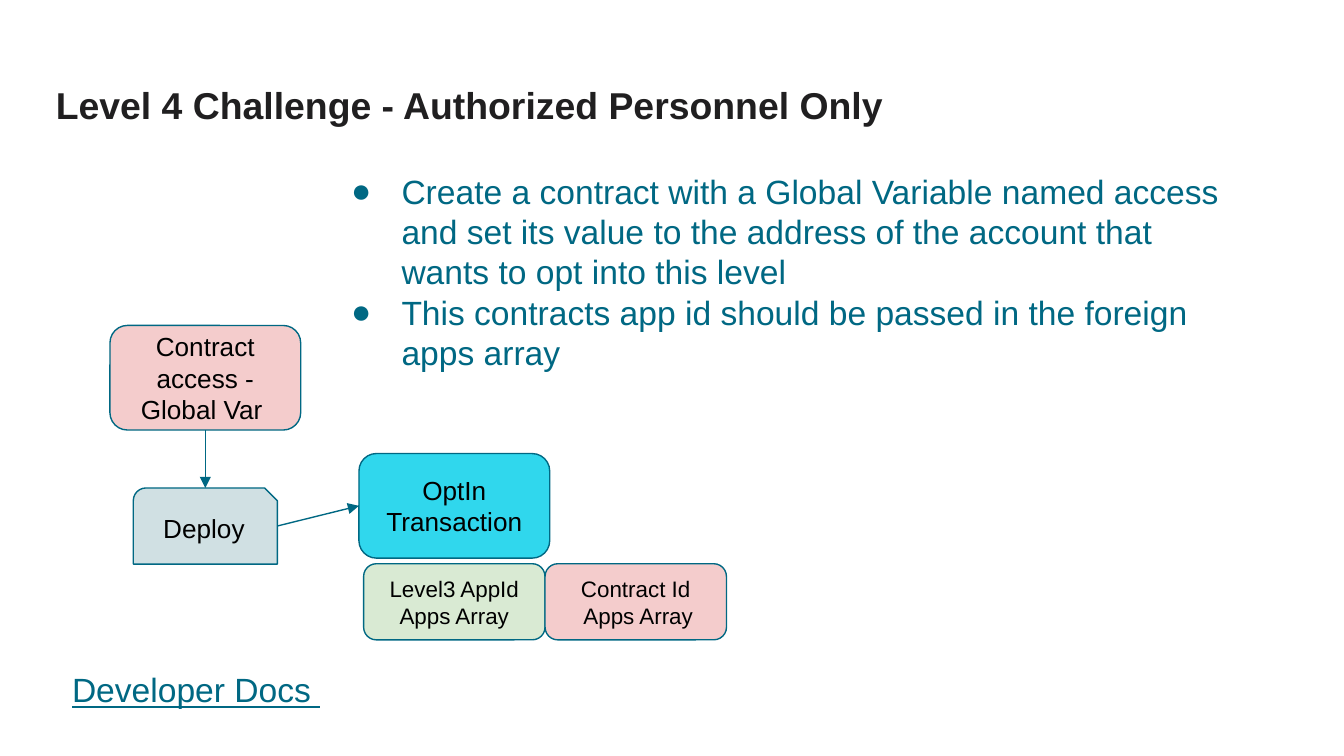
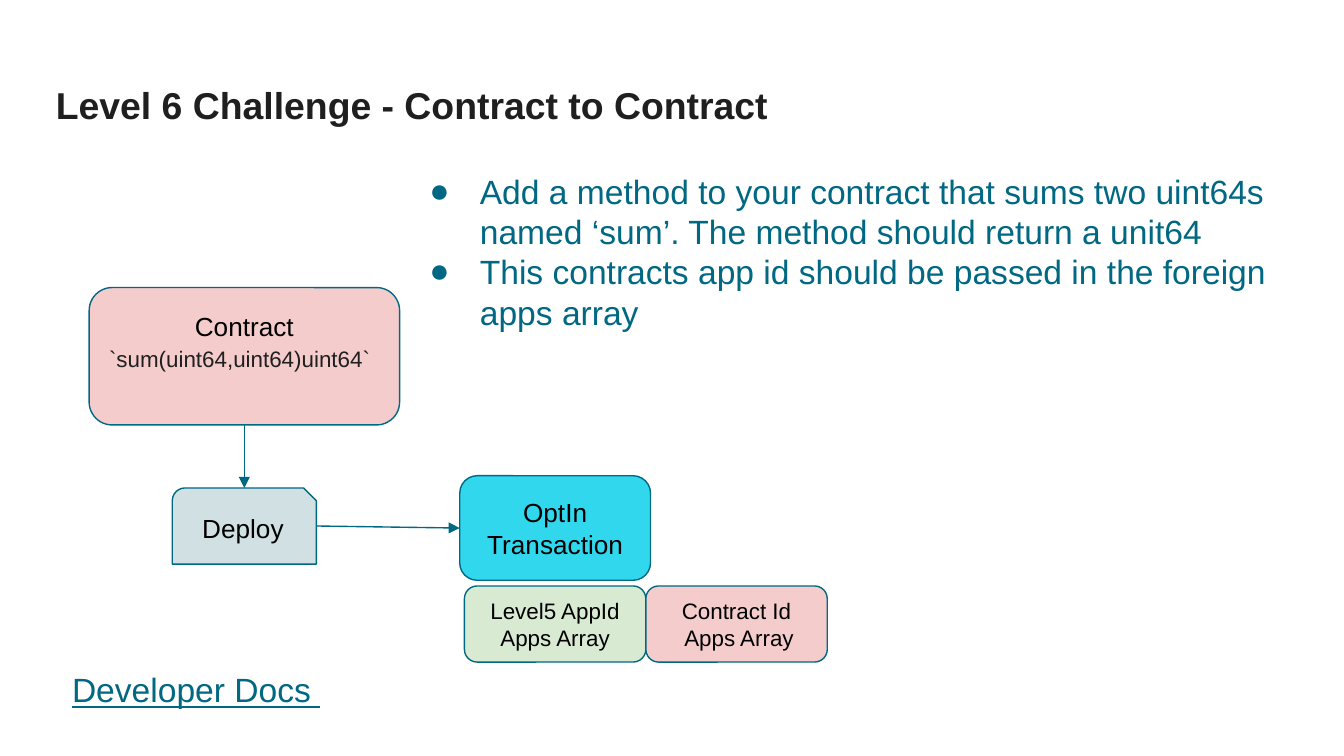
"""Build the two contract challenge slides with their flow diagrams."""
from lxml import etree
from pptx import Presentation
from pptx.dml.color import RGBColor
from pptx.enum import shapes, text
from pptx.oxml import ns
from pptx.util import Pt

COLORS = {
    "ink": "201F20",
    "teal": "006883",
    "black": "000000",
    "contract": "F4CCCC",
    "optin": "30D7ED",
    "level": "D9EAD3",
    "deploy": "D0E0E3",
}
FONT = "Arial"
ROUND = shapes.MSO_SHAPE.ROUNDED_RECTANGLE
SNIP = shapes.MSO_SHAPE.SNIP_ROUND_RECTANGLE
CENTER = text.PP_ALIGN.CENTER
LEFT = text.PP_ALIGN.LEFT
MIDDLE = text.MSO_ANCHOR.MIDDLE
TOP = text.MSO_ANCHOR.TOP

CHALLENGES = [
    {
        "title": "Level 4 Challenge - Authorized Personnel Only",
        "tasks": [
            "Create a contract with a Global Variable named access and set its value "
            "to the address of the account that wants to opt into this level",
            "This contracts app id should be passed in the foreign apps array",
        ],
        "tasks_left": 172,
        "axis": 110,
        "contract": ["Contract", "access - Global Var "],
        "contract_box": (174.4, 102.2, 56),
        "optin": (192.3, 243),
        "level": "Level3 AppId Apps Array",
    },
    {
        "title": "Level 6 Challenge - Contract to Contract",
        "tasks": [
            "Add a method to your contract that sums two uint64s named ‘sum’. "
            "The method should return a unit64",
            "This contracts app id should be passed in the foreign apps array",
        ],
        "tasks_left": 214,
        "axis": 130.9,
        "contract": ["Contract", "`sum(uint64,uint64)uint64`"],
        "contract_box": (154.1, 166.3, 73.6),
        "optin": (246.3, 254.9),
        "level": "Level5 AppId Apps Array",
    },
]


def write(shape, lines, size, color, align=LEFT, anchor=TOP, inset=7.2):
    """Fill a shape with evenly styled paragraphs and return its frame."""
    frame = shape.text_frame
    frame.text = "\n".join(lines)
    frame.word_wrap = True
    frame.auto_size = text.MSO_AUTO_SIZE.NONE
    frame.vertical_anchor = anchor
    frame.margin_left = frame.margin_right = Pt(7.2)
    frame.margin_top = frame.margin_bottom = Pt(inset)
    for paragraph in frame.paragraphs:
        paragraph.alignment = align
        for run in paragraph.runs:
            run.font.name = FONT
            run.font.size = Pt(size)
            run.font.color.rgb = RGBColor.from_string(COLORS[color])
    return frame


def add_step(slide, preset, box, fill, lines, size):
    """Draw one outlined step of the flow and return its text frame."""
    step = slide.shapes.add_shape(preset, *map(Pt, box))
    for index in range(len(step.adjustments)):
        step.adjustments[index] = 0.167
    step.shadow.inherit = False
    step.fill.solid()
    step.fill.fore_color.rgb = RGBColor.from_string(COLORS[fill])
    step.line.color.rgb = RGBColor.from_string(COLORS["teal"])
    step.line.width = Pt(0.75)
    return write(step, lines, size, "black", CENTER, MIDDLE)


deck = Presentation()
deck.slide_width, deck.slide_height = Pt(720), Pt(405)

for challenge in CHALLENGES:
    slide = deck.slides.add_slide(deck.slide_layouts[6])

    title = slide.shapes.add_textbox(Pt(24.5), Pt(35), Pt(671), Pt(45.4))
    heading = write(title, [challenge["title"]], 20, "ink", anchor=MIDDLE, inset=2.7)
    heading.margin_left = heading.margin_right = Pt(5.4)
    heading.paragraphs[0].line_spacing = 0.9
    heading.paragraphs[0].runs[0].font.bold = True

    docs = slide.shapes.add_textbox(Pt(31.5), Pt(351.4), Pt(656.6), Pt(45.4))
    docs_text = write(docs, ["Developer Docs "], 18, "teal")
    docs_text.paragraphs[0].runs[0].font.underline = True

    tasks = slide.shapes.add_textbox(
        Pt(challenge["tasks_left"]), Pt(84.2), Pt(491), Pt(213.8))
    for task in write(tasks, challenge["tasks"], 18, "teal").paragraphs:
        properties = task._p.get_or_add_pPr()
        properties.set("marL", str(Pt(36)))
        properties.set("indent", str(Pt(-27)))
        bullet_color = etree.SubElement(properties, ns.qn("a:buClr"))
        etree.SubElement(bullet_color, ns.qn("a:srgbClr"), val=COLORS["teal"])
        etree.SubElement(properties, ns.qn("a:buFont"), typeface=FONT)
        etree.SubElement(properties, ns.qn("a:buChar"), char="●")

    axis = challenge["axis"]
    contract_top, contract_width, contract_height = challenge["contract_box"]
    contract = add_step(
        slide, ROUND,
        (axis - contract_width / 2, contract_top, contract_width, contract_height),
        "contract", challenge["contract"], 14)
    signature = contract.paragraphs[1]
    if signature.text.startswith("`"):
        contract.margin_bottom = Pt(23.2)
        signature.alignment = LEFT
        signature.line_spacing = 1.15
        signature.runs[0].font.size = Pt(12)
        signature.runs[0].font.color.rgb = RGBColor.from_string(COLORS["ink"])

    optin_left, optin_top = challenge["optin"]
    add_step(slide, ROUND, (optin_left, optin_top, 102.2, 56),
             "optin", ["OptIn Transaction"], 14)
    apps = [
        ("level", [challenge["level"]]),
        ("contract", ["Contract Id", " Apps Array"]),
    ]
    for column, (fill, lines) in enumerate(apps):
        add_step(slide, ROUND,
                 (optin_left + 2.5 + 97.2 * column, optin_top + 59, 97.2, 40.8),
                 fill, lines, 12)

    deploy_top, deploy_width, deploy_height = 261.4, 77.2, 40.8
    add_step(slide, SNIP,
             (axis - deploy_width / 2, deploy_top, deploy_width, deploy_height),
             "deploy", ["Deploy"], 14)

    arrows = [
        (axis, contract_top + contract_height, axis, deploy_top),
        (axis + deploy_width / 2, deploy_top + deploy_height / 2,
         optin_left, optin_top + 28),
    ]
    for ends in arrows:
        arrow = slide.shapes.add_connector(
            shapes.MSO_CONNECTOR.STRAIGHT, *map(Pt, ends))
        arrow.line.color.rgb = RGBColor.from_string(COLORS["teal"])
        arrow.line.width = Pt(0.75)
        etree.SubElement(arrow.line._get_or_add_ln(), ns.qn("a:tailEnd"),
                         type="triangle")
        etree.SubElement(arrow._element.spPr, ns.qn("a:effectLst"))

deck.save("out.pptx")
